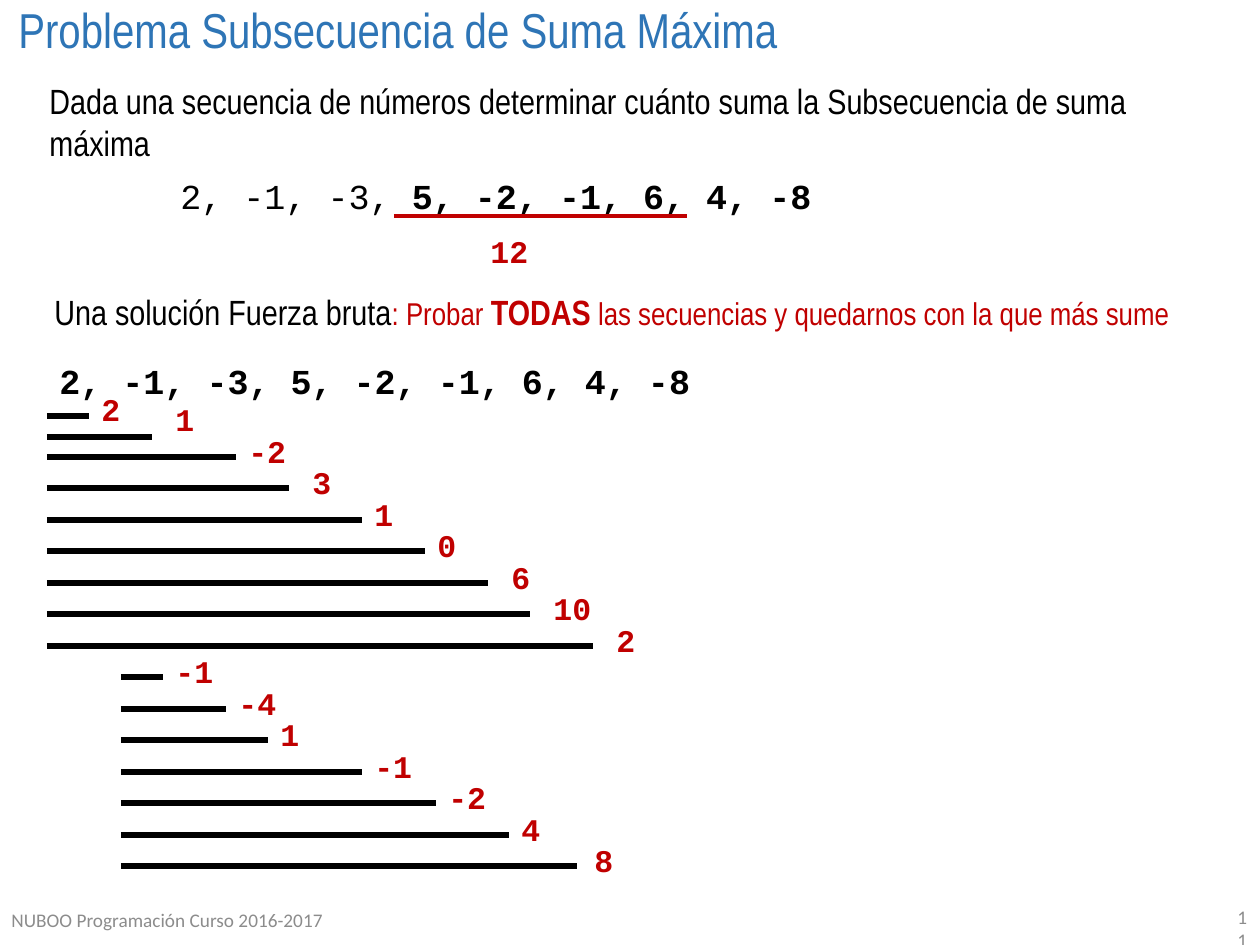
import pptx
import pptx.util
import pptx.dml.color
import pptx.enum.shapes
import pptx.enum.text
import pptx.oxml.ns
import lxml.etree

SCALE = 914400 / 126
BLACK, RED, BLUE, GRAY = "000000", "C00000", "2E75B6", "8C8C8C"
NARROW, MONO, SANS = "Arial Narrow", "Courier New", "Calibri"

# line end, label left, sum
FIRST = [(89, 89, "2"), (152, 163, "1"), (236, 236, "-2"),
         (289, 300, "3"), (362, 362, "1"), (425, 425, "0"),
         (488, 499, "6"), (530, 541, "10"), (593, 604, "2")]
SECOND = [(163, 163, "-1"), (226, 226, "-4"), (268, 268, "1"),
          (362, 362, "-1"), (436, 436, "-2"), (509, 509, "4"),
          (577, 582, "8")]


def px(n):
    return pptx.util.Emu(round(n * SCALE))


def color(code):
    return pptx.dml.color.RGBColor.from_string(code)


def text(slide, box, font, runs, middle=False, space=None):
    """Add a text box; each run is (text, size, colour, bold)."""
    frame = slide.shapes.add_textbox(*map(px, box)).text_frame
    frame.word_wrap = True
    if middle:
        frame.vertical_anchor = pptx.enum.text.MSO_ANCHOR.MIDDLE
    para = frame.paragraphs[0]
    if space:
        para.line_spacing = space
    for words, size, code, bold in runs:
        run = para.add_run()
        run.text = words
        run.font.name = font
        run.font.size = pptx.util.Pt(size)
        run.font.bold = bold
        run.font.color.rgb = color(code)


def rule(slide, left, right, y, code, width):
    """Add a horizontal line."""
    line = slide.shapes.add_connector(
        pptx.enum.shapes.MSO_CONNECTOR.STRAIGHT,
        px(left), px(y), px(right), px(y))
    line.line.color.rgb = color(code)
    line.line.width = pptx.util.Pt(width)
    lxml.etree.SubElement(line._element.spPr,
                          pptx.oxml.ns.qn("a:effectLst"))


def label(slide, left, top, width, words):
    text(slide, (left, top, width, 50), MONO, [(words, 18, RED, True)])


def sums(slide, left, rows, tops):
    """Draw each subsequence as a line with its sum at the end."""
    for (end, spot, total), (y, lift) in zip(rows, tops):
        rule(slide, left, end, y, BLACK, 3)
        label(slide, spot, y - lift, 63, total)


def main():
    deck = pptx.Presentation()
    deck.slide_width, deck.slide_height = px(1260), px(945)
    slide = deck.slides.add_slide(deck.slide_layouts[6])

    text(slide, (6, 0, 1048, 57), NARROW,
         [("Problema Subsecuencia de Suma Máxima", 28, BLUE, False)],
         space=0.9)
    text(slide, (37, 73, 1207, 97), NARROW,
         [("Dada una secuencia de números determinar cuánto suma la "
           "Subsecuencia de suma máxima", 20, BLACK, False)])
    text(slide, (168, 168, 788, 55), MONO,
         [("2, -1, -3, ", 20, BLACK, False),
          ("5, -2, -1, 6, 4, -8", 20, BLACK, True)])
    rule(slide, 394, 687, 216, RED, 2.25)
    label(slide, 478, 226, 136, "12")

    text(slide, (42, 284, 1187, 55), NARROW,
         [("Una solución Fuerza bruta", 20, BLACK, False),
          (": Probar ", 18, RED, False),
          ("TODAS", 20, RED, True),
          (" las secuencias y quedarnos con la que más sume",
           18, RED, False)])
    text(slide, (47, 353, 788, 55), MONO,
         [("2, -1, -3, 5, -2, -1, 6, 4, -8", 20, BLACK, True)])

    tops = [(416, 32), (437, 43)]
    tops += [(457 + 63 * i // 2, 31) for i in range(14)]
    sums(slide, 47, FIRST, tops)
    sums(slide, 121, SECOND, tops[len(FIRST):])

    text(slide, (-1, 895, 756, 50), SANS,
         [("NUBOO Programación Curso 2016-2017", 11, GRAY, False)],
         middle=True)
    text(slide, (1225, 911, 35, 34), SANS, [("11", 11, GRAY, False)],
         middle=True)
    deck.save("out.pptx")


if __name__ == "__main__":
    main()
